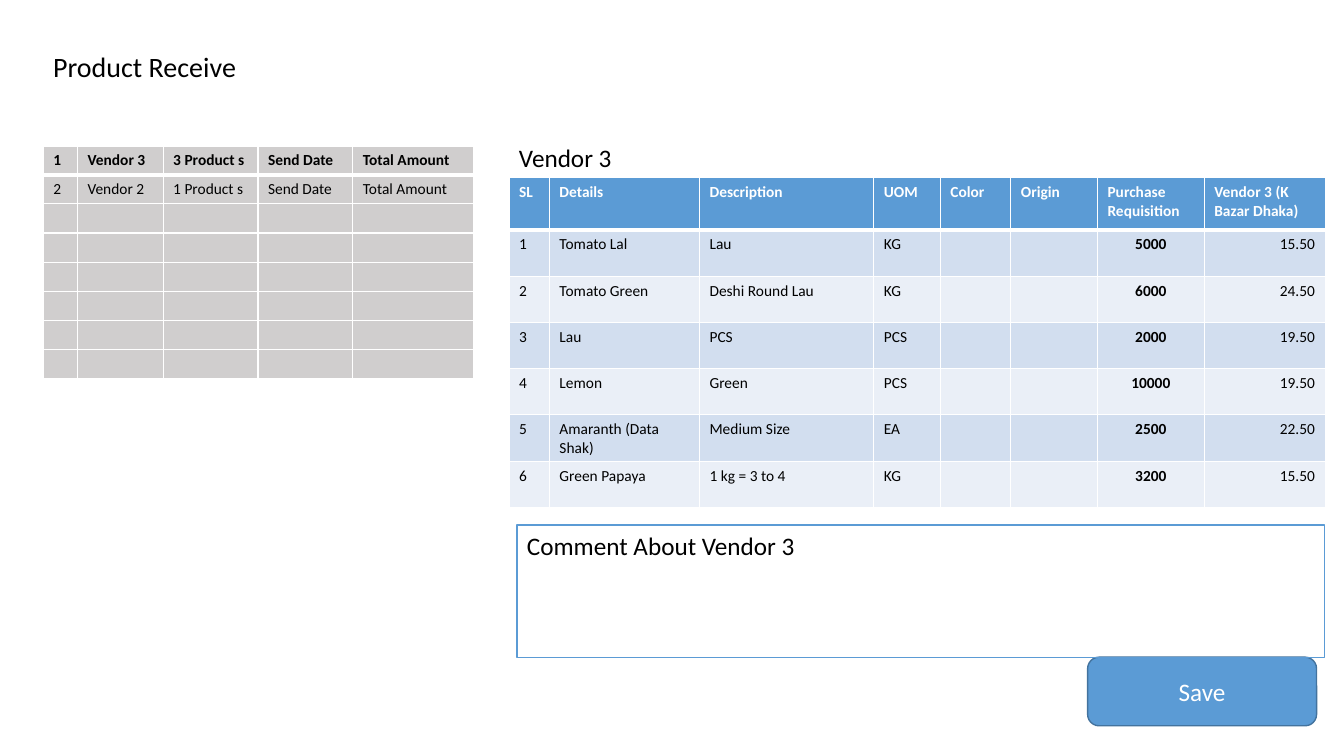
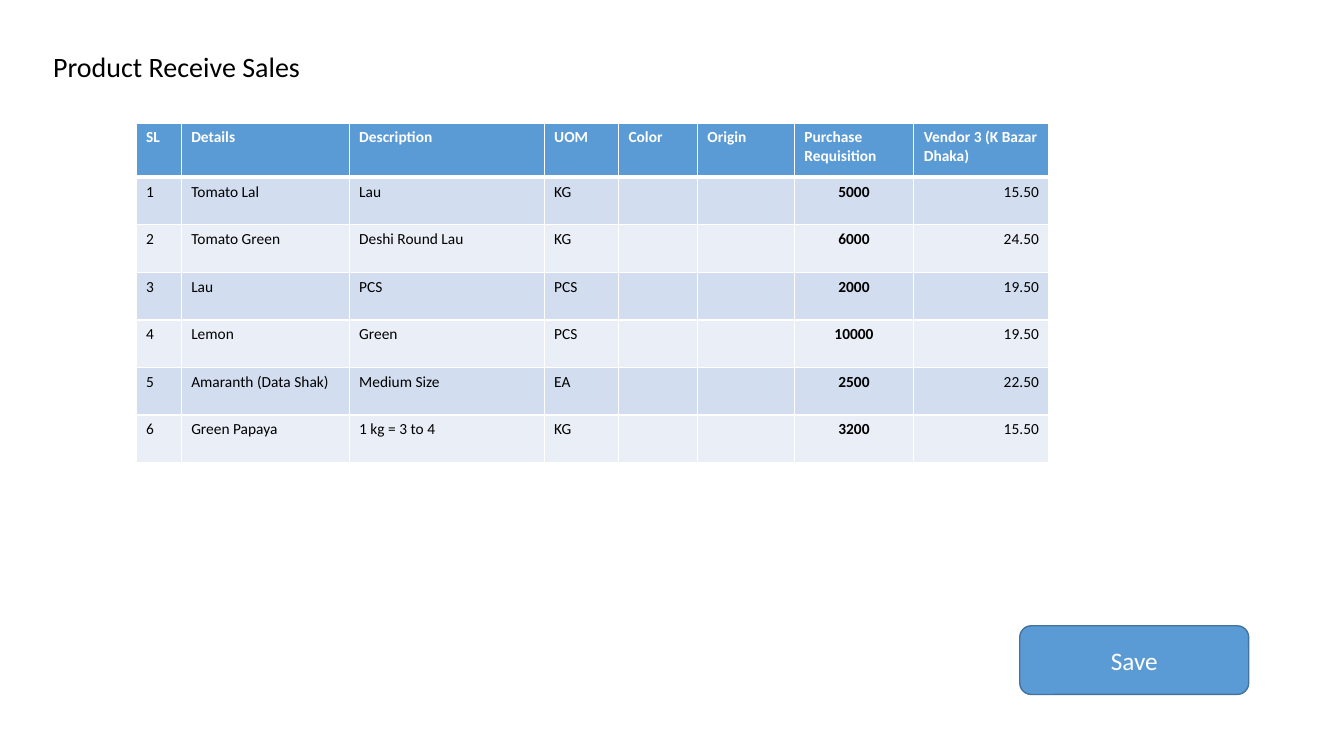
from lxml import etree
from pptx import Presentation
from pptx.dml.color import RGBColor
from pptx.enum.shapes import MSO_SHAPE
from pptx.enum.text import MSO_ANCHOR, PP_ALIGN
from pptx.oxml.ns import qn
from pptx.util import Cm, Pt

LEFT, CENTER, RIGHT = PP_ALIGN.LEFT, PP_ALIGN.CENTER, PP_ALIGN.RIGHT
TOP, MIDDLE = MSO_ANCHOR.TOP, MSO_ANCHOR.MIDDLE
RECTANGLE, ROUNDED = MSO_SHAPE.RECTANGLE, MSO_SHAPE.ROUNDED_RECTANGLE

# Shared style
FONT = "Calibri"
TITLE_SIZE, LABEL_SIZE, CELL_SIZE = 20, 18, 11
BLACK = RGBColor(0x00, 0x00, 0x00)
WHITE = RGBColor(0xFF, 0xFF, 0xFF)
BLUE = RGBColor(0x5B, 0x9B, 0xD5)
DARK_BLUE = RGBColor(0x43, 0x73, 0x9E)
BAND_DARK = RGBColor(0xD2, 0xDE, 0xEF)
BAND_LIGHT = RGBColor(0xEA, 0xEF, 0xF7)
GREY = RGBColor(0xD0, 0xCE, 0xCE)
THIN, THICK = 1, 3

# Content
VENDORS = [
    ("1", "Vendor 3", "3 Product s", "Send Date", "Total Amount"),
    ("2", "Vendor 2", "1 Product s", "Send Date", "Total Amount"),
] + [("",) * 5] * 6
VENDOR_WIDTHS = (0.34, 0.85, 0.94, 0.94, 1.2)
VENDOR_HEADER_SHARE = 0.1

PRODUCTS = [
    ("SL", "Details", "Description", "UOM", "Color", "Origin",
     "Purchase Requisition", "Vendor 3 (K Bazar Dhaka)"),
    ("1", "Tomato Lal", "Lau", "KG", "", "", "5000", "15.50"),
    ("2", "Tomato Green", "Deshi Round Lau", "KG", "", "", "6000", "24.50"),
    ("3", "Lau", "PCS", "PCS", "", "", "2000", "19.50"),
    ("4", "Lemon", "Green", "PCS", "", "", "10000", "19.50"),
    ("5", "Amaranth (Data Shak)", "Medium Size", "EA", "", "", "2500", "22.50"),
    ("6", "Green Papaya", "1 kg = 3 to 4", "KG", "", "", "3200", "15.50"),
]
PRODUCT_WIDTHS = (0.4, 1.49, 1.73, 0.66, 0.7, 0.86, 1.06, 1.2)
PRODUCT_HEADER_SHARE = 0.16
QUANTITY_COLUMN, PRICE_COLUMN = 6, 7


def write(frame, text, size, color, align=LEFT, bold=False):
    """Fill a text frame with one paragraph."""
    paragraph = frame.paragraphs[0]
    paragraph.alignment = align
    font = paragraph.font
    font.name, font.size, font.bold = FONT, Pt(size), bold
    font.color.rgb = color
    if text:
        paragraph.add_run().text = text
    else:
        # An empty cell takes its line height from the end mark
        etree.SubElement(paragraph._p, qn("a:endParaRPr"), sz=str(size * 100))
    return paragraph


def add_label(slide, box, text, size=LABEL_SIZE, anchor=TOP):
    frame = slide.shapes.add_textbox(*map(Cm, box)).text_frame
    frame.word_wrap = True
    frame.vertical_anchor = anchor
    return write(frame, text, size, BLACK)


def add_title(slide, text):
    title = add_label(slide, (1.09, 1.02, 29.21, 1.4), text, TITLE_SIZE, MIDDLE)
    title.line_spacing = 0.9


def add_panel(slide, outline, box, text, color, line, line_width,
              fill=None, align=LEFT, anchor=TOP):
    panel = slide.shapes.add_shape(outline, *map(Cm, box))
    panel.shadow.inherit = False
    if fill is None:
        panel.fill.background()
    else:
        panel.fill.solid()
        panel.fill.fore_color.rgb = fill
    panel.line.color.rgb = line
    panel.line.width = Pt(line_width)
    panel.text_frame.word_wrap = True
    panel.text_frame.vertical_anchor = anchor
    write(panel.text_frame, text, LABEL_SIZE, color, align)


def add_save_button(slide, left, top):
    add_panel(slide, ROUNDED, (left, top, 5.77, 1.73), "Save", WHITE,
              DARK_BLUE, 1, BLUE, CENTER, MIDDLE)


def add_borders(cell, row):
    """White rules; the one below the header row is thick."""
    widths = {"L": THIN, "R": THIN, "T": THICK if row == 1 else THIN,
              "B": THICK if row == 0 else THIN}
    properties = cell._tc.get_or_add_tcPr()
    for side, width in widths.items():
        rule = etree.SubElement(properties, qn(f"a:ln{side}"), w=str(Pt(width)))
        solid = etree.SubElement(rule, qn("a:solidFill"))
        etree.SubElement(solid, qn("a:srgbClr"), val=str(WHITE))


def add_grid(slide, box, rows, weights, header_share, style):
    """Table fitted to box; style(row, column) gives fill, colour, align, bold."""
    left, top, width, height = box
    table = slide.shapes.add_table(len(rows), len(weights), *map(Cm, box)).table
    table.first_row = table.horz_banding = False
    for column, weight in zip(table.columns, weights):
        column.width = Cm(width * weight / sum(weights))
    body_share = (1 - header_share) / (len(rows) - 1)
    for r, values in enumerate(rows):
        table.rows[r].height = Cm(height * (body_share if r else header_share))
        for c, value in enumerate(values):
            cell = table.cell(r, c)
            fill, color, align, bold = style(r, c)
            add_borders(cell, r)
            cell.fill.solid()
            cell.fill.fore_color.rgb = fill
            write(cell.text_frame, value, CELL_SIZE, color, align, bold)


def vendor_style(row, column):
    return GREY, BLACK, LEFT, row == 0


def product_style(row, column):
    if row == 0:
        return BLUE, WHITE, LEFT, True
    band = BAND_DARK if row % 2 else BAND_LIGHT
    align = {QUANTITY_COLUMN: CENTER, PRICE_COLUMN: RIGHT}.get(column, LEFT)
    return band, BLACK, align, column == QUANTITY_COLUMN


def add_vendor_list(slide, box):
    add_grid(slide, box, VENDORS, VENDOR_WIDTHS, VENDOR_HEADER_SHARE, vendor_style)


def add_product_table(slide, box):
    add_grid(slide, box, PRODUCTS, PRODUCT_WIDTHS, PRODUCT_HEADER_SHARE, product_style)


def build_receive(slide):
    add_title(slide, "Product Receive")
    add_save_button(slide, 27.41, 16.56)
    add_vendor_list(slide, (1.09, 3.68, 10.85, 5.72))
    # Selected vendor
    add_product_table(slide, (12.83, 4.47, 20.57, 8.31))
    add_label(slide, (12.83, 3.45, 7.98, 1.02), "Vendor 3")
    add_panel(slide, RECTANGLE, (13.03, 13.23, 20.35, 3.33),
              "Comment About Vendor 3", BLACK, BLUE, 0.75)


def build_receive_sales(slide):
    add_title(slide, "Product Receive Sales")
    add_save_button(slide, 25.7, 15.77)
    add_product_table(slide, (3.43, 3.1, 23.01, 8.56))


deck = Presentation()
deck.slide_width, deck.slide_height = Cm(33.87), Cm(19.05)
blank = deck.slide_layouts[6]
for build in (build_receive, build_receive_sales):
    build(deck.slides.add_slide(blank))
deck.save("out.pptx")
